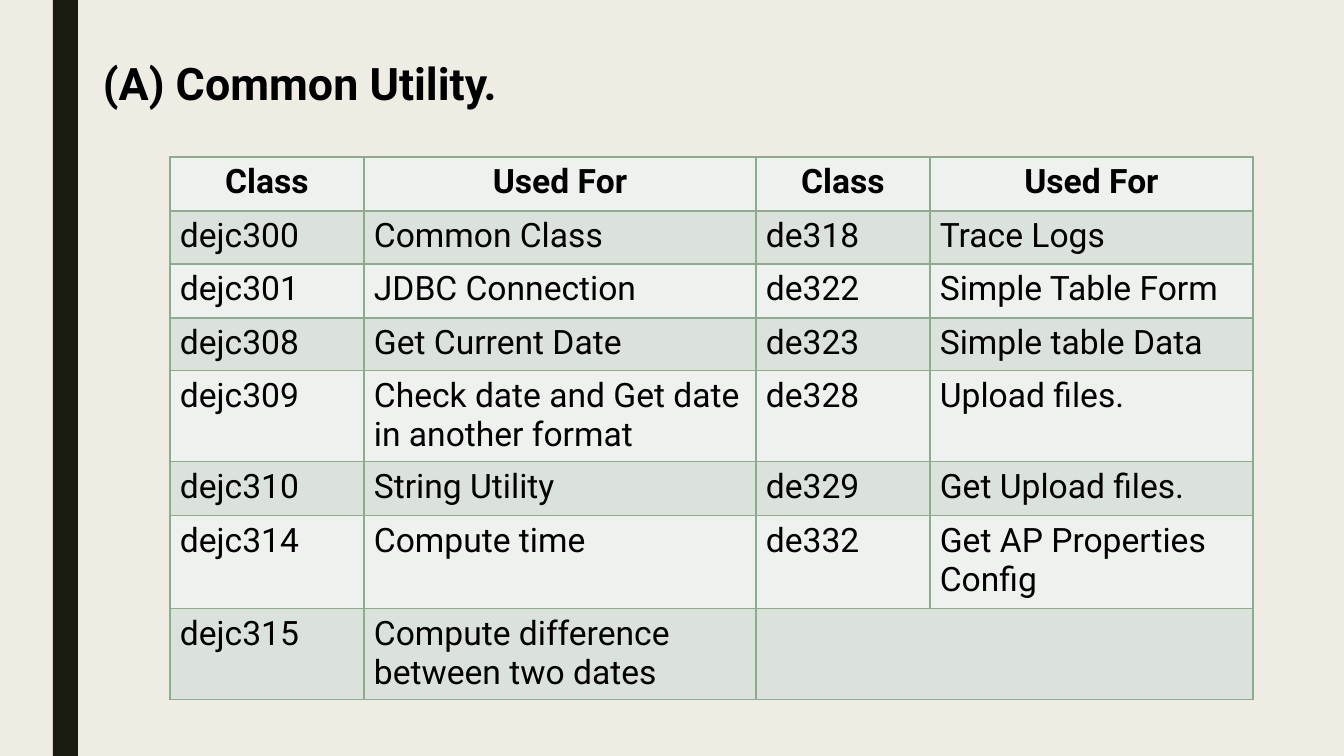
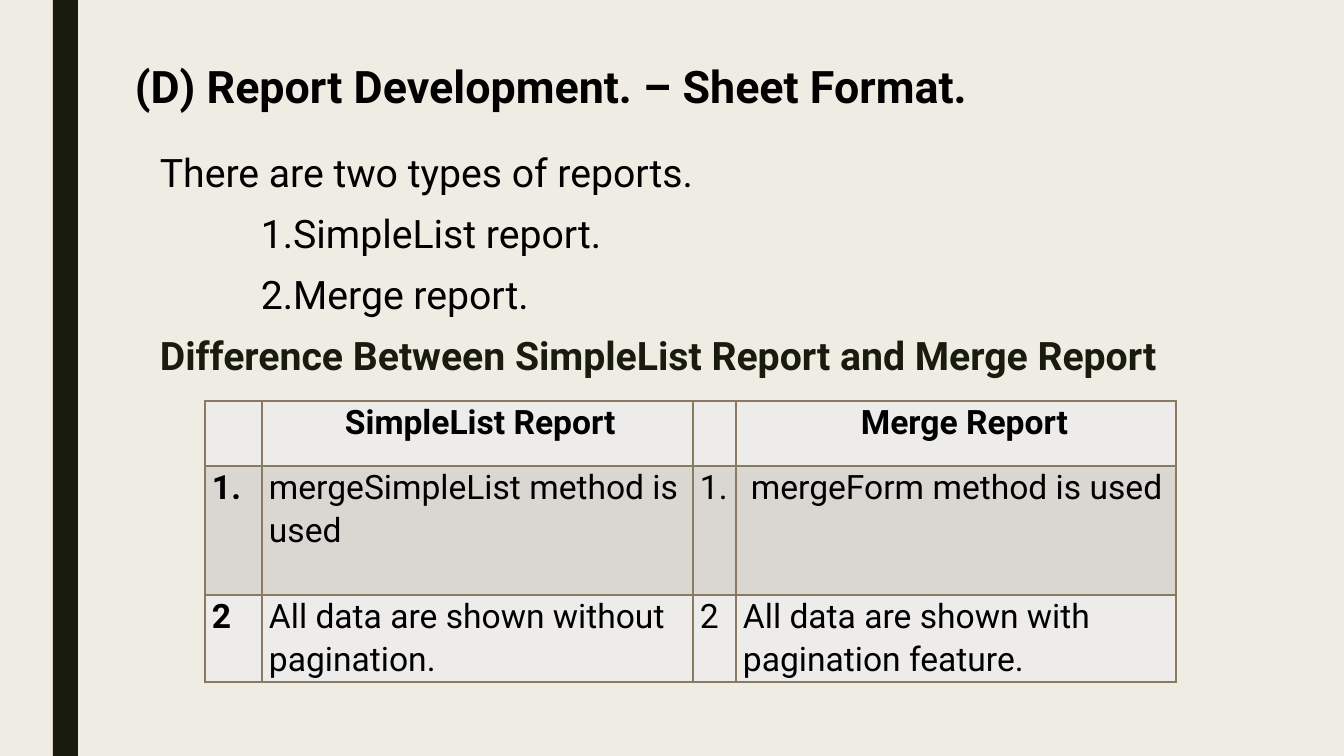
import lxml.etree
import pptx
import pptx.dml.color
import pptx.enum.shapes
import pptx.enum.text
import pptx.oxml.ns
import pptx.util

RGB = pptx.dml.color.RGBColor
ALIGN = pptx.enum.text.PP_ALIGN
qn = pptx.oxml.ns.qn

PX = 12192000 / 1344
SLIDE_WIDTH, SLIDE_HEIGHT = 1344, 756
FONT = "Roboto"

CREAM = RGB(0xEF, 0xED, 0xE3)
DARK_OLIVE = RGB(0x19, 0x1B, 0x0E)
BLACK = RGB(0, 0, 0)
GREEN_LINE = RGB(0x8D, 0xAB, 0x8E)
GREEN_BANDS = (RGB(0xEE, 0xF1, 0xEE), RGB(0xDB, 0xE2, 0xDB))
BROWN_LINE = RGB(0x89, 0x7B, 0x61)
GREY_BANDS = (RGB(0xED, 0xEC, 0xEA), RGB(0xDA, 0xD7, 0xD2))

UTILITY_ROWS = [
    ("Class", "Used For", "Class", "Used For"),
    ("dejc300", "Common Class", "de318", "Trace Logs"),
    ("dejc301", "JDBC Connection", "de322", "Simple Table Form"),
    ("dejc308", "Get Current Date", "de323", "Simple table Data"),
    ("dejc309", "Check date and Get date in another format", "de328", "Upload files."),
    ("dejc310", "String Utility", "de329", "Get Upload files."),
    ("dejc314", "Compute time", "de332", "Get AP Properties Config"),
    ("dejc315", "Compute difference between two dates", "", ""),
]
REPORT_ROWS = [
    ("", "SimpleList Report", "", "Merge Report"),
    ("1.", "mergeSimpleList method is used", "1.", "mergeForm method is used"),
    ("2", "All data are shown without pagination.", "2",
     "All data are shown with pagination feature."),
]
REPORT_INDENTS = {(0, 1): 76, (0, 3): 118, (1, 3): 8}


def px(length):
    return pptx.util.Emu(round(length * PX))


def write(paragraph, text, size=24, bold=False, color=BLACK, align=ALIGN.LEFT,
          indent=0, line_spacing=None, before=None, after=None):
    paragraph.alignment = align
    paragraph.line_spacing = line_spacing
    if before is not None:
        paragraph.space_before = pptx.util.Pt(before)
    if after is not None:
        paragraph.space_after = pptx.util.Pt(after)
    if indent:
        properties = paragraph._p.get_or_add_pPr()
        properties.set("marL", str(px(indent)))
        properties.set("indent", "0")
    run = paragraph.add_run()
    run.text = text
    run.font.name = FONT
    run.font.size = pptx.util.Pt(size)
    run.font.bold = bold
    run.font.color.rgb = color


def add_text_frame(slide, box):
    frame = slide.shapes.add_textbox(*map(px, box)).text_frame
    frame.word_wrap = True
    return frame


def add_titled_slide(deck, title, box):
    slide = deck.slides.add_slide(deck.slide_layouts[6])
    slide.background.fill.solid()
    slide.background.fill.fore_color.rgb = CREAM
    side_band = slide.shapes.add_shape(
        pptx.enum.shapes.MSO_SHAPE.RECTANGLE, px(53), 0, px(25), px(SLIDE_HEIGHT))
    side_band.shadow.inherit = False
    side_band.fill.solid()
    side_band.fill.fore_color.rgb = DARK_OLIVE
    side_band.line.fill.background()
    write(add_text_frame(slide, box).paragraphs[0], title, size=32, bold=True)
    return slide


def outline_cell(cell, color):
    properties = cell._tc.get_or_add_tcPr()
    for side in ("a:lnL", "a:lnR", "a:lnT", "a:lnB"):
        edge = lxml.etree.SubElement(properties, qn(side), w="12700")
        fill = lxml.etree.SubElement(edge, qn("a:solidFill"))
        lxml.etree.SubElement(fill, qn("a:srgbClr"), val=str(color))


def add_banded_table(slide, left, top, widths, heights, rows, bands, line,
                     cell_format, margins=(10, 5)):
    table = slide.shapes.add_table(
        len(rows), len(widths), px(left), px(top), px(sum(widths)), px(sum(heights))).table
    table.first_row = table.horz_banding = False
    for column, width in zip(table.columns, widths):
        column.width = px(width)
    for row, height in zip(table.rows, heights):
        row.height = px(height)
    for r, texts in enumerate(rows):
        for c, text in enumerate(texts):
            cell = table.cell(r, c)
            outline_cell(cell, line)
            cell.fill.solid()
            cell.fill.fore_color.rgb = bands[r % 2]
            cell.margin_left = cell.margin_right = px(margins[0])
            cell.margin_top = cell.margin_bottom = px(margins[1])
            if text:
                write(cell.text_frame.paragraphs[0], text, **cell_format(r, c))
    return table


def utility_format(r, c):
    return dict(bold=True, align=ALIGN.CENTER) if r == 0 else {}


def report_format(r, c):
    return dict(bold=r == 0 or c == 0, indent=REPORT_INDENTS.get((r, c), 0),
                line_spacing=1.07)


def add_report_types(slide, box):
    frame = add_text_frame(slide, box)
    lines = [
        ("There are two types of reports.", {}),
        ("1.SimpleList report.", dict(indent=101)),
        ("2.Merge report.", dict(indent=101)),
        ("Difference Between SimpleList Report and Merge Report",
         dict(bold=True, color=DARK_OLIVE)),
    ]
    for i, (text, style) in enumerate(lines):
        paragraph = frame.add_paragraph() if i else frame.paragraphs[0]
        write(paragraph, text, size=28, line_spacing=0.94, before=10, after=2, **style)


def build_utility_slide(deck):
    slide = add_titled_slide(deck, "(A) Common Utility.", (93, 51, 1149, 65))
    table = add_banded_table(
        slide, 170, 157, (194, 392, 174, 323), (54, 53, 54, 53, 91, 54, 93, 91),
        UTILITY_ROWS, GREEN_BANDS, GREEN_LINE, utility_format)
    table.cell(7, 2).merge(table.cell(7, 3))


def build_report_slide(deck):
    slide = add_titled_slide(
        deck, "(D) Report Development. – Sheet Format.", (125, 54, 1180, 65))
    add_report_types(slide, (150, 147, 1123, 562))
    add_banded_table(
        slide, 205, 401, (57, 431, 43, 440), (65, 129, 87),
        REPORT_ROWS, GREY_BANDS, BROWN_LINE, report_format, margins=(7, 0))


def main():
    deck = pptx.Presentation()
    deck.slide_width, deck.slide_height = px(SLIDE_WIDTH), px(SLIDE_HEIGHT)
    build_utility_slide(deck)
    build_report_slide(deck)
    deck.save("out.pptx")


if __name__ == "__main__":
    main()
